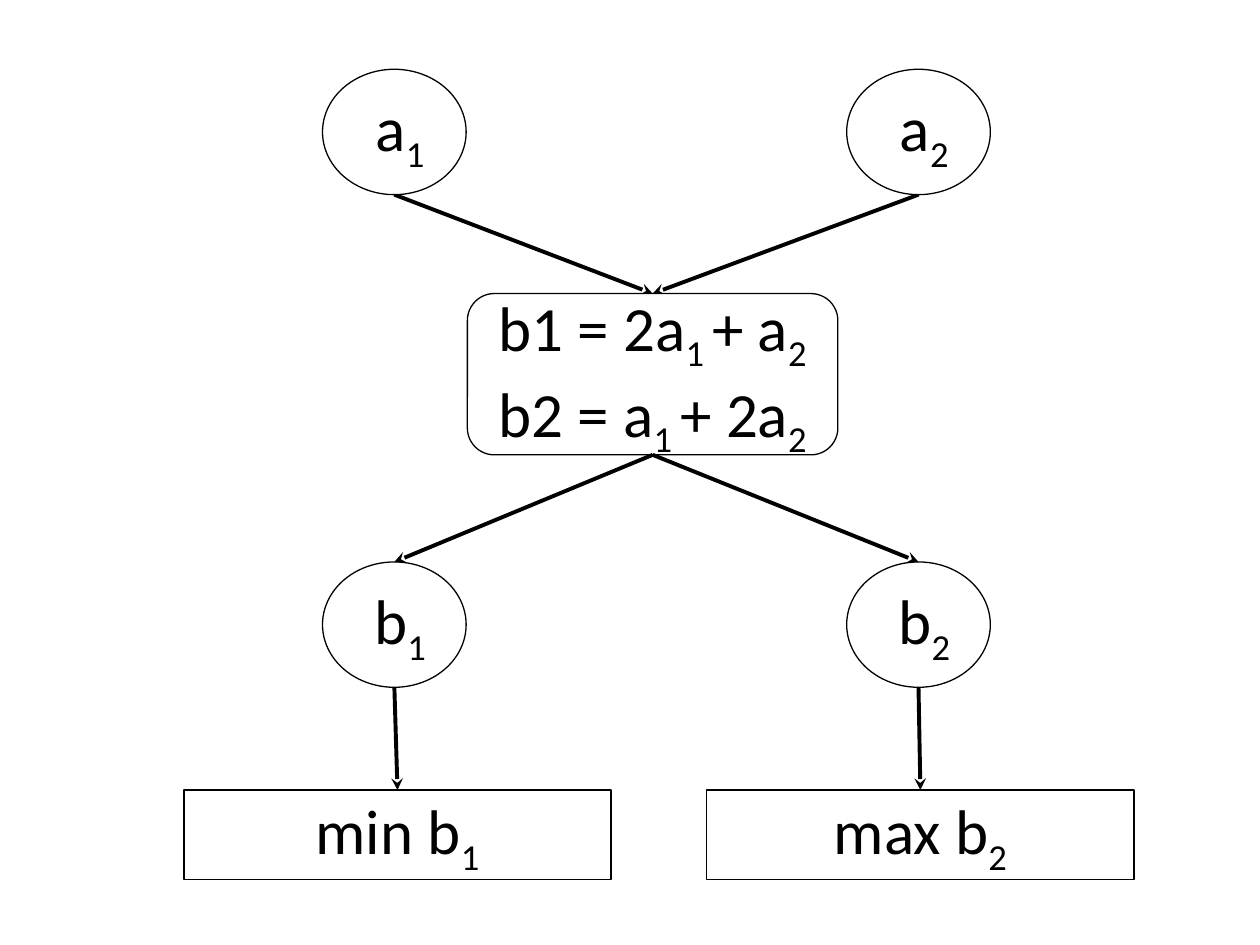
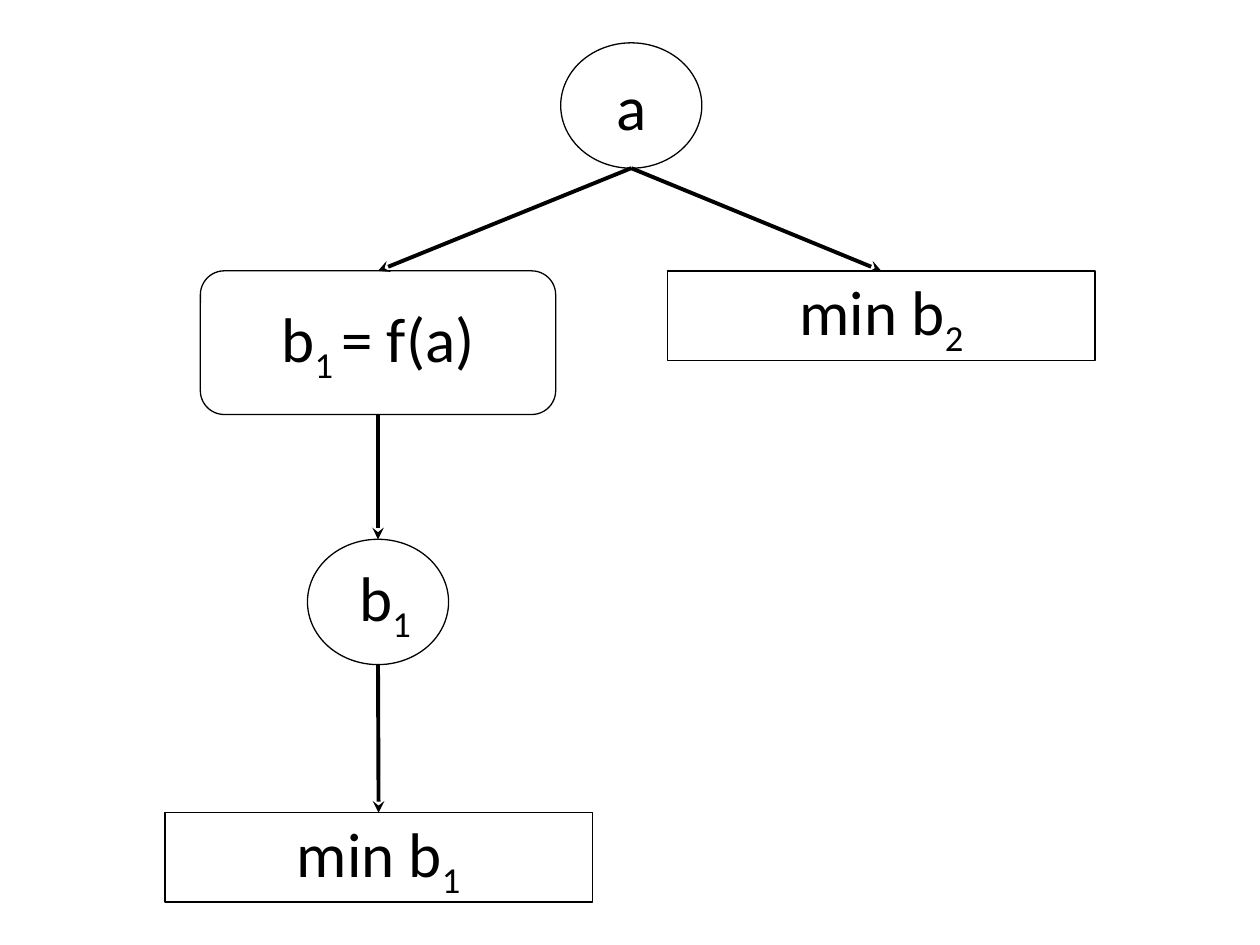
from collections import namedtuple

from lxml import etree
from pptx import Presentation
from pptx import util as u
from pptx.dml.color import RGBColor
from pptx.enum import shapes as kinds
from pptx.enum import text as txt
from pptx.oxml.ns import qn

COLUMNS, ROWS = 100, 75
INK, PAPER = "000000", "FFFFFF"
FONT = {"name": "Calibri", "size": u.Pt(36)}
OUTLINE, ARROW = u.Pt(0.75), u.Pt(2.25)
GROW = txt.MSO_AUTO_SIZE.SHAPE_TO_FIT_TEXT
SIDE, EDGE = u.Inches(0.1), u.Inches(0.05)
PADDED = {"margin_left": SIDE, "margin_right": SIDE,
          "margin_top": EDGE, "margin_bottom": EDGE, "auto_size": GROW}
TIGHT = {"margin_left": 0, "margin_right": 0, "margin_top": 0, "margin_bottom": 0}
GOAL_SIZE = (33.9, 7.1)  # columns and rows of a goal box

Box = namedtuple("Box", "left top width height")


def colour(code):
    """Turn a hex string into a colour."""
    return RGBColor.from_string(code)


def assign(target, values):
    """Set every attribute named in a dict."""
    for name, value in values.items():
        setattr(target, name, value)


def cell(area, column, row, columns, rows):
    """Return the box at a grid position inside an area."""
    across, down = area.width / COLUMNS, area.height / ROWS
    return Box(round(area.left + column * across), round(area.top + row * down),
               round(columns * across), round(rows * down))


def head(box):
    """Return the middle of the top edge."""
    return box.left + box.width // 2, box.top


def foot(box):
    """Return the middle of the bottom edge."""
    return box.left + box.width // 2, box.top + box.height


def write(frame, lines, layout):
    """Fill a text frame; in each line every second piece between bars is subscript."""
    assign(frame, {"word_wrap": True, "vertical_anchor": txt.MSO_ANCHOR.MIDDLE, **layout})
    for number, line in enumerate(lines):
        para = frame.add_paragraph() if number else frame.paragraphs[0]
        para.alignment = txt.PP_ALIGN.CENTER
        for position, piece in enumerate(line.split("|")):
            span = para.add_run()
            span.text = piece
            assign(span.font, FONT)
            span.font.color.rgb = colour(INK)
            if position % 2:
                span._r.get_or_add_rPr().set("baseline", "-25000")


def outlined(parts, kind, box):
    """Add a white shape with a thin black outline."""
    shape = parts.add_shape(kind, *box)
    shape.shadow.inherit = False
    shape.fill.solid()
    shape.fill.fore_color.rgb = colour(PAPER)
    shape.line.color.rgb = colour(INK)
    shape.line.width = OUTLINE
    return shape


def variable(parts, box, label, shift=0):
    """Draw a variable: an ellipse with a label, moved right by a share of its width."""
    outlined(parts, kinds.MSO_SHAPE.OVAL, box)
    label_box = Box(box.left + round(box.width * shift), box.top + round(box.height * 0.14),
                    box.width, round(box.height * 0.72))
    write(parts.add_textbox(*label_box).text_frame, [label], PADDED)


def goal(parts, box, label):
    """Draw an objective in a rectangle."""
    write(outlined(parts, kinds.MSO_SHAPE.RECTANGLE, box).text_frame, [label], PADDED)


def discipline(parts, box, lines):
    """Draw the equations of a discipline in a rounded rectangle."""
    write(outlined(parts, kinds.MSO_SHAPE.ROUNDED_RECTANGLE, box).text_frame, lines, TIGHT)


def arrow(parts, source, target):
    """Draw an arrow from the foot of one box to the head of another."""
    line = parts.add_connector(kinds.MSO_CONNECTOR.STRAIGHT, *foot(source), *head(target))
    line.line.color.rgb = colour(INK)
    line.line.width = ARROW
    etree.SubElement(line.line._get_or_add_ln(), qn("a:tailEnd"), type="stealth")
    etree.SubElement(line._element.spPr, qn("a:effectLst"))


def coupled_problem(page, area):
    """Draw two inputs that feed one discipline with two outputs and goals."""
    parts = page.shapes
    centre = cell(area, 37.1, 23.3, 29.4, 12.8)
    branches = ((25.6, 14.6, "1", "min"), (67.2, 56.1, "2", "max"))
    outputs = []
    for column, goal_column, index, aim in branches:
        source = cell(area, column, 5.5, 11.4, 9.95)
        output = cell(area, column, 44.6, 11.4, 9.95)
        target = cell(area, goal_column, 62.7, *GOAL_SIZE)
        outputs.append(output)
        arrow(parts, source, centre)
        arrow(parts, output, target)
        for letter, box in (("a", source), ("b", output)):
            variable(parts.add_group_shape().shapes, box, f"{letter}|{index}", 0.04)
        goal(parts, target, f"{aim} b|{index}")
    discipline(parts, centre, ["b1 = 2a|1 |+ a|2", "b2 = a|1 |+ 2a|2"])
    for output in outputs:
        arrow(parts, centre, output)


def split_problem(page, area):
    """Draw one input that feeds a discipline chain and a direct goal, as one group."""
    parts = page.shapes.add_group_shape().shapes
    source = cell(area, 44.5, 3.4, 11.2, 9.95)
    centre = cell(area, 15.9, 21.5, 28.2, 11.4)
    output = cell(area, 24.4, 42.8, 11.2, 9.95)
    target = cell(area, 13.1, 64.5, *GOAL_SIZE)
    direct = cell(area, 53, 21.5, *GOAL_SIZE)
    variable(parts, source, "a")
    variable(parts, output, "b|1", 0.05)
    discipline(parts, centre, ["b|1 |= f(a)"])
    goal(parts, target, "min b|1")
    goal(parts, direct, "min b|2")
    for start, end in ((source, centre), (centre, output), (output, target), (source, direct)):
        arrow(parts, start, end)


def build():
    """Make the deck and save it."""
    deck = Presentation()
    assign(deck, {"slide_width": u.Inches(10), "slide_height": u.Inches(7.5)})
    area = Box(0, 0, deck.slide_width, deck.slide_height)
    blank = deck.slide_layouts.get_by_name("Blank")
    for draw in (coupled_problem, split_problem):
        page = deck.slides.add_slide(blank)
        page.background.fill.solid()
        page.background.fill.fore_color.rgb = colour(PAPER)
        draw(page, area)
    deck.save("out.pptx")


build()
